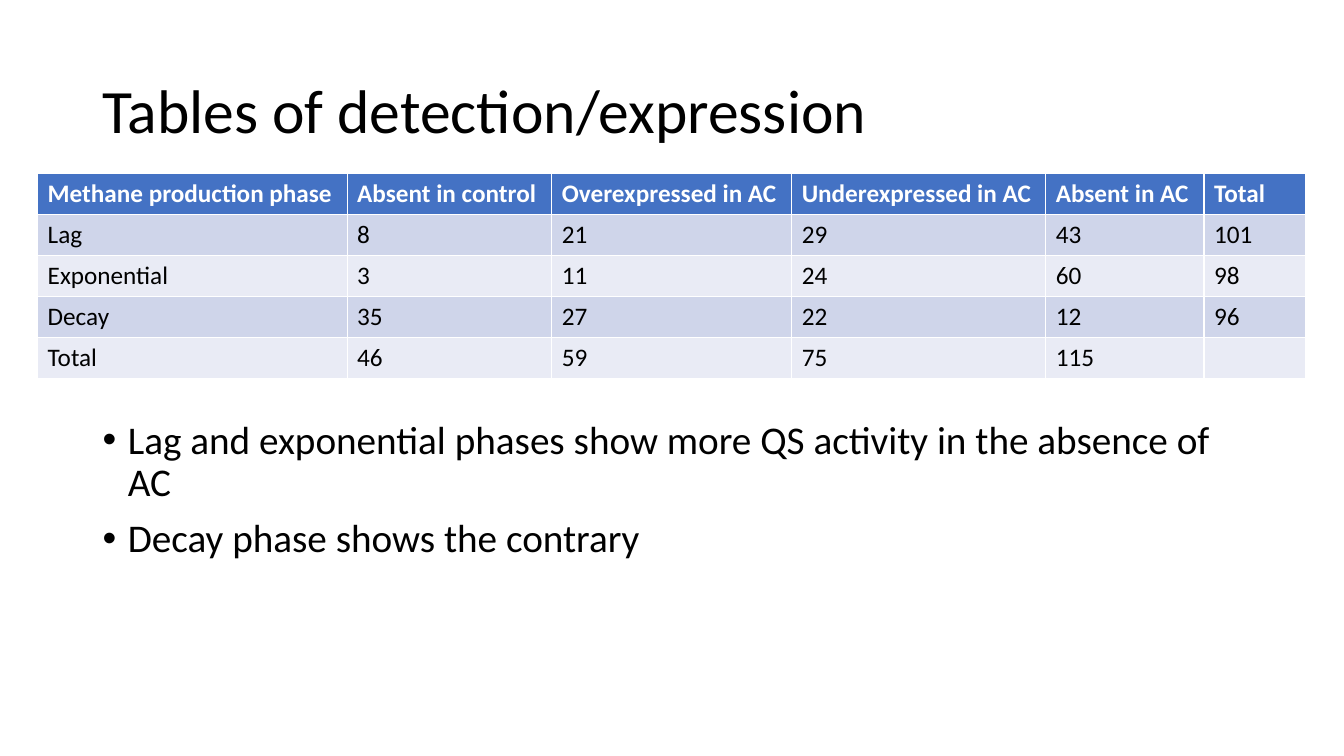
from dataclasses import dataclass

from lxml import etree
from pptx import Presentation
from pptx import util as u
from pptx.dml.color import RGBColor
from pptx.enum import text
from pptx.oxml import ns


@dataclass
class Theme:
    font: str = "Calibri"
    ink: str = "000000"
    pale: str = "FFFFFF"
    head: str = "4472C4"
    bands: tuple = ("CFD5EA", "E9EBF5")
    title: int = 44
    body: int = 28
    cell: int = 18


class Page:
    def __init__(self, deck, theme):
        self.deck = deck
        self.theme = theme
        self.slide = deck.slides.add_slide(deck.slide_layouts[6])

    def wide(self, share):
        return round(self.deck.slide_width * share / 100)

    def high(self, share):
        return round(self.deck.slide_height * share / 100)

    def place(self, left, top, width, height):
        return self.wide(left), self.high(top), self.wide(width), self.high(height)

    def style(self, para, size, color, bold=False):
        for run in para.runs:
            run.font.name = self.theme.font
            run.font.size = u.Pt(size)
            run.font.bold = bold
            run.font.color.rgb = RGBColor.from_string(color)

    def box(self, area, words, size):
        frame = self.slide.shapes.add_textbox(*self.place(*area)).text_frame
        frame.word_wrap = True
        frame.text = words
        for para in frame.paragraphs:
            para.line_spacing = 0.9
            self.style(para, size, self.theme.ink)
        return frame

    def title(self, area, words):
        frame = self.box(area, words, self.theme.title)
        frame.vertical_anchor = text.MSO_ANCHOR.MIDDLE

    def list(self, area, items):
        frame = self.box(area, "\n".join(items), self.theme.body)
        for para in frame.paragraphs:
            para.space_before = u.Pt(10)
            props = para._p.get_or_add_pPr()
            props.set("marL", str(u.Inches(0.25)))
            props.set("indent", str(-u.Inches(0.25)))
            etree.SubElement(props, ns.qn("a:buFont"), typeface="Arial")
            etree.SubElement(props, ns.qn("a:buChar"), char="•")

    def table(self, left, top, widths, height, rows):
        area = self.place(left, top, sum(widths), height * len(rows))
        grid = self.slide.shapes.add_table(len(rows), len(widths), *area).table
        for col, width in zip(grid.columns, widths):
            col.width = self.wide(width)
        for y, row in enumerate(rows):
            head = y == 0
            fill = self.theme.head if head else self.theme.bands[(y - 1) % 2]
            ink = self.theme.pale if head else self.theme.ink
            for x, value in enumerate(row):
                cell = grid.cell(y, x)
                cell.fill.solid()
                cell.fill.fore_color.rgb = RGBColor.from_string(fill)
                cell.text_frame.text = str(value)
                self.style(cell.text_frame.paragraphs[0], self.theme.cell, ink, head)


deck = Presentation()
deck.slide_width = u.Inches(13.33)
deck.slide_height = u.Inches(7.5)

page = Page(deck, Theme())
page.title((6.9, 5.33, 86.25, 19.33), "Tables of detection/expression")
page.table(2.8, 22.93, (23.03, 15.23, 17.85, 18.9, 11.78, 7.58), 5.42, (
    ("Methane production phase", "Absent in control", "Overexpressed in AC",
     "Underexpressed in AC", "Absent in AC", "Total"),
    ("Lag", 8, 21, 29, 43, 101),
    ("Exponential", 3, 11, 24, 60, 98),
    ("Decay", 35, 27, 22, 12, 96),
    ("Total", 46, 59, 75, 115, ""),
))
page.list((6.9, 54.93, 86.25, 25.47), (
    "Lag and exponential phases show more QS activity in the absence of AC",
    "Decay phase shows the contrary",
))

deck.save("out.pptx")
